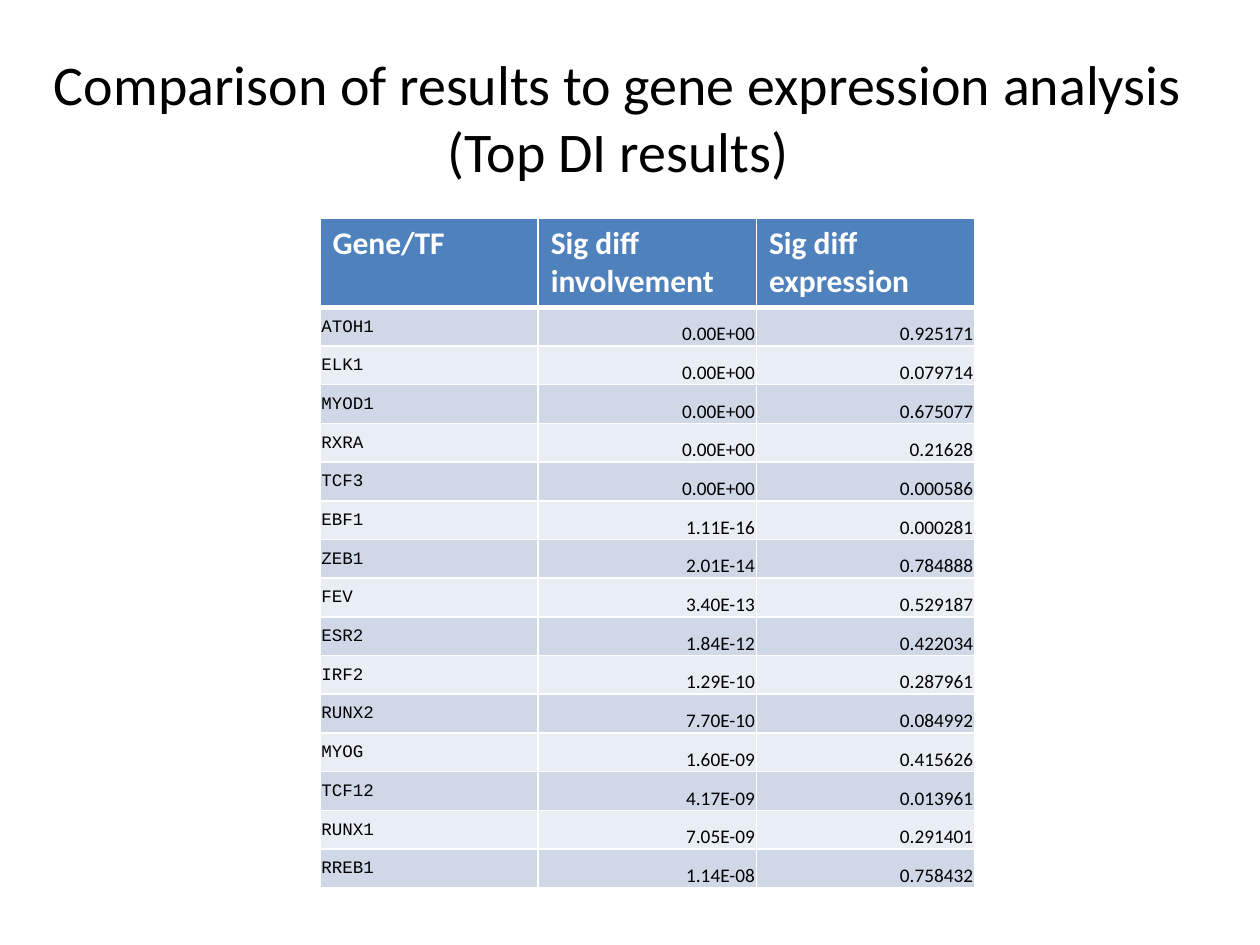
"""Build a slide with a table that compares gene involvement and expression."""
import dataclasses

import lxml.etree
import pptx
import pptx.dml.color
import pptx.enum.text
import pptx.oxml.ns
import pptx.util

Cm = pptx.util.Cm
Pt = pptx.util.Pt
ALIGN = pptx.enum.text.PP_ALIGN
ANCHOR = pptx.enum.text.MSO_ANCHOR
WHITE, BLACK = "FFFFFF", "000000"
BANDS = ("D0D8E8", "E9EDF4")


@dataclasses.dataclass(frozen=True)
class Gene:
    name: str
    diff: str
    level: str


@dataclasses.dataclass(frozen=True)
class Style:
    size: int
    font: str = "Calibri"
    color: str = BLACK
    bold: bool = False
    align: ALIGN = ALIGN.LEFT
    anchor: ANCHOR = ANCHOR.TOP
    tight: bool = True


TITLE = Style(32, align=ALIGN.CENTER, anchor=ANCHOR.MIDDLE)
HEAD = Style(18, color=WHITE, bold=True, tight=False)
NAME = Style(10, "Courier New", anchor=ANCHOR.MIDDLE)
VALUE = Style(11, align=ALIGN.RIGHT, anchor=ANCHOR.BOTTOM)

HEADS = ("Gene/TF", "Sig diff involvement", "Sig diff expression")
GENES = (
    Gene("ATOH1", "0.00E+00", "0.925171"),
    Gene("ELK1", "0.00E+00", "0.079714"),
    Gene("MYOD1", "0.00E+00", "0.675077"),
    Gene("RXRA", "0.00E+00", "0.21628"),
    Gene("TCF3", "0.00E+00", "0.000586"),
    Gene("EBF1", "1.11E-16", "0.000281"),
    Gene("ZEB1", "2.01E-14", "0.784888"),
    Gene("FEV", "3.40E-13", "0.529187"),
    Gene("ESR2", "1.84E-12", "0.422034"),
    Gene("IRF2", "1.29E-10", "0.287961"),
    Gene("RUNX2", "7.70E-10", "0.084992"),
    Gene("MYOG", "1.60E-09", "0.415626"),
    Gene("TCF12", "4.17E-09", "0.013961"),
    Gene("RUNX1", "7.05E-09", "0.291401"),
    Gene("RREB1", "1.14E-08", "0.758432"),
)


def tint(target, color: str) -> None:
    target.rgb = pptx.dml.color.RGBColor.from_string(color)


def write(frame, text: str, style: Style) -> None:
    frame.text = text
    line = frame.paragraphs[0]
    line.alignment = style.align
    font = line.runs[0].font
    font.size, font.name, font.bold = Pt(style.size), style.font, style.bold
    tint(font.color, style.color)


def edge(cell, side: str, width: float) -> None:
    qn = pptx.oxml.ns.qn
    props = cell._tc.get_or_add_tcPr()
    line = lxml.etree.SubElement(props, qn(f"a:ln{side}"), w=str(Pt(width)))
    fill = lxml.etree.SubElement(line, qn("a:solidFill"))
    lxml.etree.SubElement(fill, qn("a:srgbClr"), val=WHITE)


def draw(cell, text: str, style: Style, fill: str, top: float, base: float) -> None:
    write(cell.text_frame, text, style)
    cell.vertical_anchor = style.anchor
    if style.tight:
        cell.margin_left = cell.margin_right = cell.margin_top = Cm(0.03)
        cell.margin_bottom = 0
    for side, width in (("L", 1), ("R", 1), ("T", top), ("B", base)):
        edge(cell, side, width)
    cell.fill.solid()
    tint(cell.fill.fore_color, fill)


def main() -> None:
    deck = pptx.Presentation()
    deck.slide_width, deck.slide_height = Cm(25.4), Cm(19.05)
    slide = deck.slides.add_slide(deck.slide_layouts[5])

    title = slide.shapes.title
    title.left, title.top = Cm(0.79), Cm(0.76)
    title.width, title.height = Cm(23.34), Cm(3.18)
    write(title.text_frame, "Comparison of results to gene expression analysis (Top DI results)", TITLE)
    title.text_frame.vertical_anchor = TITLE.anchor

    count = len(GENES)
    high, step = Cm(1.78), Cm(0.78)
    table = slide.shapes.add_table(
        count + 1, len(HEADS), Cm(6.45), Cm(4.39), Cm(13.2), high + count * step
    ).table
    for row in table.rows:
        row.height = step
    table.rows[0].height = high

    for col, text in enumerate(HEADS):
        draw(table.cell(0, col), text, HEAD, "4F81BD", 1, 3)
    for row, gene in enumerate(GENES):
        top = 1 if row else 3
        for col, text in enumerate(dataclasses.astuple(gene)):
            style = VALUE if col else NAME
            draw(table.cell(row + 1, col), text, style, BANDS[row % 2], top, 1)

    deck.save("out.pptx")


if __name__ == "__main__":
    main()
